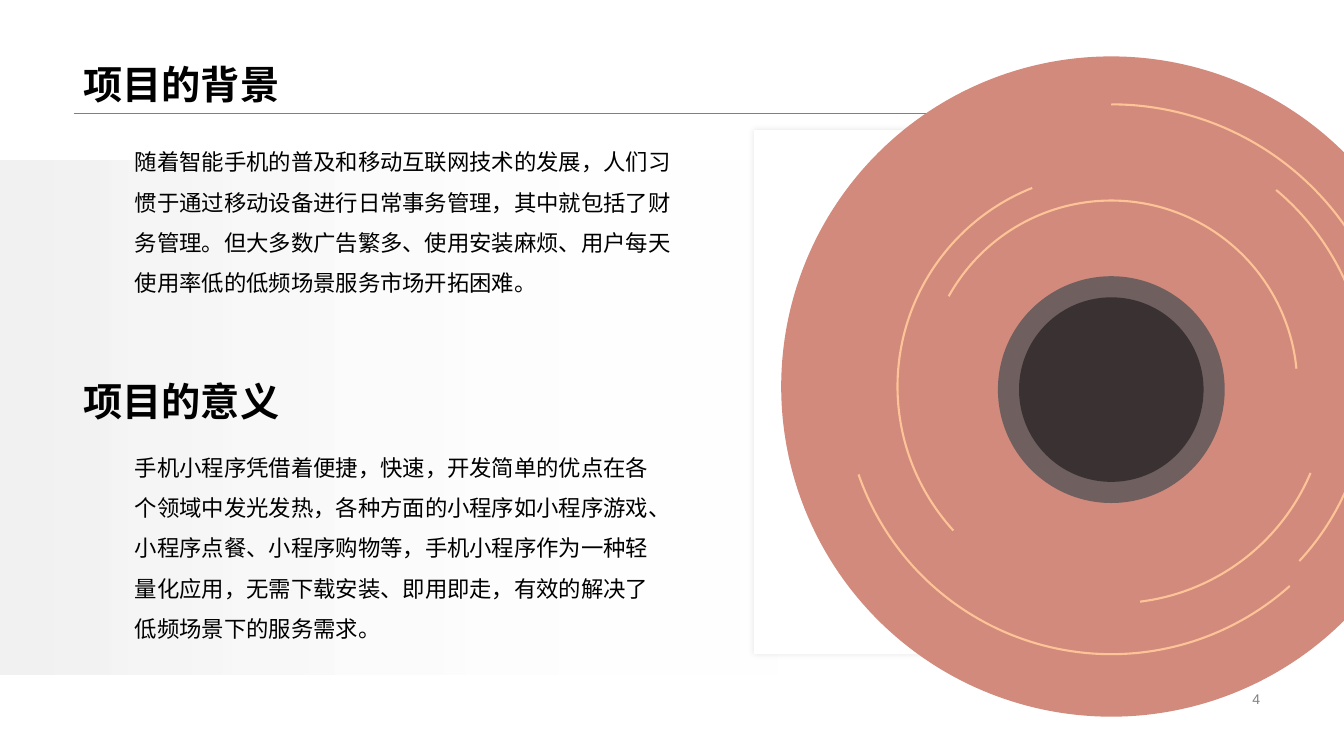
from lxml import etree
from pptx import Presentation
from pptx.dml.color import RGBColor
from pptx.enum import shapes, text
from pptx.oxml import ns
from pptx.util import Pt

BLACK = RGBColor(0x00, 0x00, 0x00)
WHITE = RGBColor(0xFF, 0xFF, 0xFF)
GREY = RGBColor(0x80, 0x80, 0x80)
PALE = RGBColor(0xF2, 0xF2, 0xF2)
ROSE = RGBColor(0xD2, 0x8A, 0x7C)
TAUPE = RGBColor(0x6F, 0x5F, 0x5F)
DARK = RGBColor(0x3A, 0x32, 0x32)
PEACH = RGBColor(0xFE, 0xC3, 0x97)

BACKGROUND = "随着智能手机的普及和移动互联网技术的发展，人们习惯于通过移动设备进行日常事务管理，其中就包括了财务管理。但大多数广告繁多、使用安装麻烦、用户每天使用率低的低频场景服务市场开拓困难。"
MEANING = "手机小程序凭借着便捷，快速，开发简单的优点在各个领域中发光发热，各种方面的小程序如小程序游戏、小程序点餐、小程序购物等，手机小程序作为一种轻量化应用，无需下载安装、即用即走，有效的解决了低频场景下的服务需求。"

CENTER_X = 793.8
OUTER_Y, INNER_Y = 276.1, 278.3


def sub(parent, tag, **attrs):
    return etree.SubElement(parent, ns.qn(tag), attrs)


def write(tf, content, size=16, font="Noto Sans CJK SC", color=BLACK, bold=False,
          spacing=1.0, align=text.PP_ALIGN.LEFT, anchor=text.MSO_ANCHOR.TOP):
    tf.word_wrap = True
    tf.vertical_anchor = anchor
    p = tf.paragraphs[0]
    p.alignment = align
    p.line_spacing = spacing
    r = p.add_run()
    r.text = content
    r.font.size = Pt(size)
    r.font.bold = bold
    r.font.color.rgb = color
    r.font.name = font
    sub(r.font._element, "a:ea", typeface="Noto Sans CJK SC")


class Deck:
    line_color = PEACH
    line_width = 1.5

    def __init__(self, prs):
        self.s = prs.slides.add_slide(prs.slide_layouts[6])

    def shape(self, kind, x, y, w, h, color=None):
        sp = self.s.shapes.add_shape(kind, Pt(x), Pt(y), Pt(w), Pt(h))
        sp.shadow.inherit = False
        sp.line.fill.background()
        if color is None:
            sp.fill.background()
        else:
            sp.fill.solid()
            sp.fill.fore_color.rgb = color
        return sp

    def text(self, x, y, w, h, content, **style):
        sp = self.s.shapes.add_textbox(Pt(x), Pt(y), Pt(w), Pt(h))
        write(sp.text_frame, content, **style)

    def heading(self, y, content):
        self.text(52.56, y, 854.64, 80.64, content, size=28, font="Arial", bold=True,
                  spacing=0.9, anchor=text.MSO_ANCHOR.BOTTOM)

    def rule(self, x1, x2, y):
        sp = self.s.shapes.add_connector(
            shapes.MSO_CONNECTOR.STRAIGHT, Pt(x1), Pt(y), Pt(x2), Pt(y))
        sp.line.color.rgb = GREY
        sp.line.width = Pt(0.25)
        sub(sp._element.spPr, "a:effectLst")

    def fade(self, x, y, w, h):
        sp = self.shape(shapes.MSO_SHAPE.RECTANGLE, x, y, w, h)
        sp.fill.gradient()
        sp.fill.gradient_angle = 0
        for stop, color in zip(sp.fill.gradient_stops, (PALE, WHITE)):
            stop.color.rgb = color
        sub(sp._element.xpath(".//a:gs//a:srgbClr")[-1], "a:alpha", val="0")

    def card(self, x, y, w, h):
        sp = self.shape(shapes.MSO_SHAPE.RECTANGLE, x, y, w, h, WHITE)
        effects = sp._element.spPr.find(ns.qn("a:effectLst"))
        shadow = sub(effects, "a:outerShdw", blurRad=str(Pt(4)), dist="0", dir="0",
                     algn="ctr", rotWithShape="0")
        sub(sub(shadow, "a:srgbClr", val=str(BLACK)), "a:alpha", val="10000")

    def ring(self, kind, cx, cy, d, color=None):
        return self.shape(kind, cx - d / 2, cy - d / 2, d, d, color)

    def disc(self, cy, d, color):
        self.ring(shapes.MSO_SHAPE.OVAL, CENTER_X, cy, d, color)

    def arc(self, cy, d, start, end, dx=0):
        sp = self.ring(shapes.MSO_SHAPE.ARC, CENTER_X + dx, cy, d)
        sp.adjustments[0] = start * 0.6
        sp.adjustments[1] = end * 0.6
        sp.line.color.rgb = self.line_color
        sp.line.width = Pt(self.line_width)


def main():
    prs = Presentation()
    prs.slide_width, prs.slide_height = Pt(960), Pt(540)
    deck = Deck(prs)

    deck.rule(52.56, 907.2, 80.64)
    deck.heading(0, "项目的背景")
    deck.text(678.24, 491, 228.96, 16.6, "4", size=10, font="Arial", color=GREY,
              align=text.PP_ALIGN.RIGHT, anchor=text.MSO_ANCHOR.MIDDLE)
    deck.fade(0, 114.5, 558, 367.2)
    deck.card(538.56, 92.88, 390.24, 374.4)
    deck.text(89.28, 311.04, 390.24, 180.72, MEANING, spacing=1.5)
    deck.text(89.28, 92.88, 407.52, 189.36, BACKGROUND, spacing=1.5)
    deck.heading(226.08, "项目的意义")

    deck.disc(OUTER_Y, 471.6, ROSE)
    deck.disc(INNER_Y, 162, TAUPE)
    deck.disc(INNER_Y, 131.8, DARK)
    for cy, d, start, end, dx in (
        (INNER_Y, 407.5, 270, 328.14, 0),
        (OUTER_Y, 382.3, 48.18, 160.83, 0),
        (OUTER_Y, 305.3, 137.63, 248.3, 0),
        (INNER_Y, 305.3, 22.97, 82.93, 1.8),
        (OUTER_Y, 366.5, 309.99, 42.86, 0),
        (OUTER_Y, 265.7, 209.04, 354.5, 0),
    ):
        deck.arc(cy, d, start, end, dx)

    prs.save("out.pptx")


if __name__ == "__main__":
    main()
